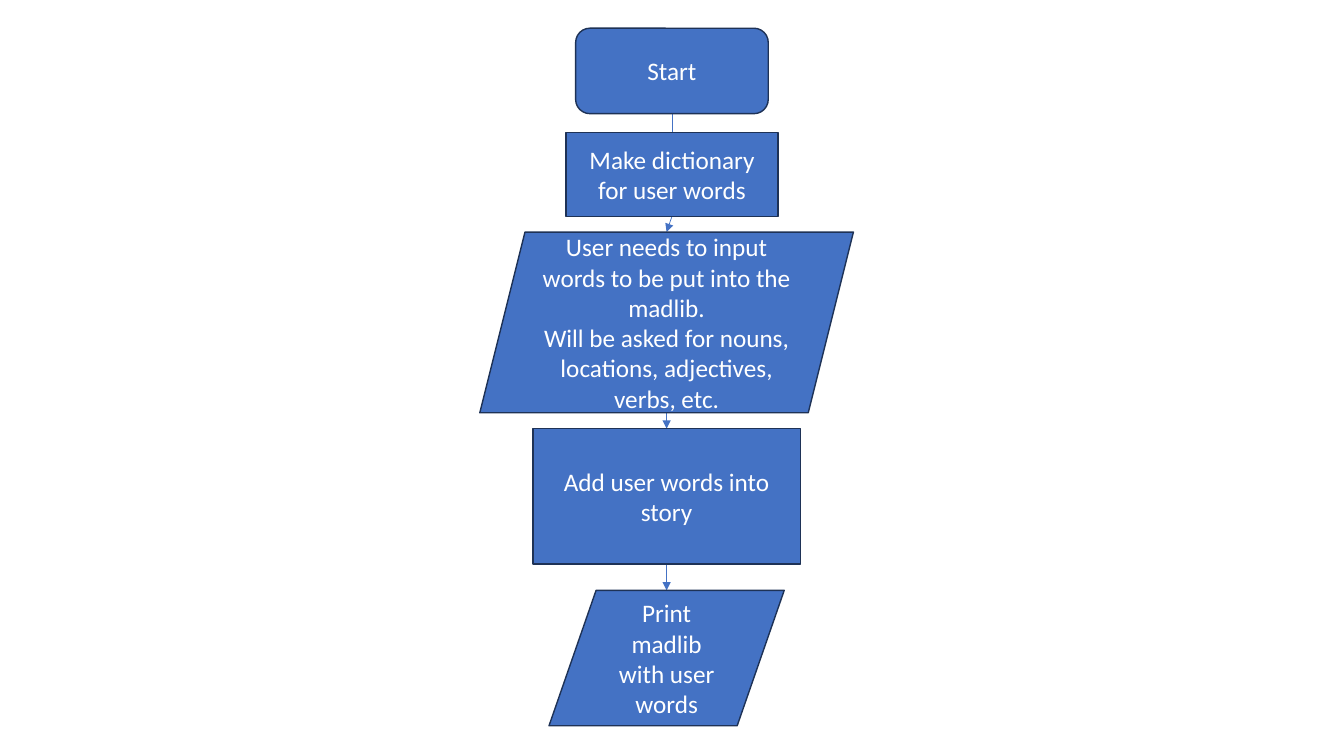
from collections import namedtuple
from itertools import pairwise

from lxml import etree
from pptx import Presentation
from pptx.dml.color import RGBColor
from pptx.enum.shapes import MSO_CONNECTOR, MSO_SHAPE
from pptx.enum.text import MSO_ANCHOR, PP_ALIGN
from pptx.oxml.ns import qn
from pptx.util import Inches, Pt

STRAIGHT = MSO_CONNECTOR.STRAIGHT
TERMINAL = MSO_SHAPE.ROUNDED_RECTANGLE
PROCESS = MSO_SHAPE.RECTANGLE
USER_INPUT = MSO_SHAPE.PARALLELOGRAM
OUTPUT = MSO_SHAPE.FLOWCHART_DATA
MIDDLE = MSO_ANCHOR.MIDDLE
CENTER = PP_ALIGN.CENTER

WIDTH, HEIGHT = Inches(13.33), Inches(7.5)
COLORS = {"fill": "4472C4", "outline": "1E3256", "text": "FFFFFF", "arrow": "4472C4"}
FONT = {"name": "Calibri", "size": Pt(18)}
FRAME = {"word_wrap": True, "vertical_anchor": MIDDLE}

Step = namedtuple("Step", "kind center top width height lines entry")
STEPS = [
    Step(TERMINAL, 50, 3.73, 14.33, 11.3, ["Start"], 0),
    Step(PROCESS, 50, 17.5, 15.75, 11.1, ["Make dictionary for user words"], 4.2),
    Step(USER_INPUT, 49.6, 30.7, 27.8, 23.9,
         ["User needs to input words to be put into the madlib.",
          "Will be asked for nouns, locations, adjectives, verbs, etc."], 0),
    Step(PROCESS, 49.6, 56.7, 19.9, 17.9, ["Add user words into story"], 0),
    Step(OUTPUT, 49.6, 78.1, 17.5, 17.9, ["Print madlib with user words"], 0),
]


def across(percent):
    """Turn a share of the slide's width into a length."""
    return round(WIDTH * percent / 100)


def down(percent):
    """Turn a share of the slide's height into a length."""
    return round(HEIGHT * percent / 100)


def color(role):
    """Look up the colour of a role."""
    return RGBColor.from_string(COLORS[role])


def apply(target, values):
    """Set each attribute of the target from a dict."""
    for attribute, value in values.items():
        setattr(target, attribute, value)


def add_step(slide, step):
    """Draw one step of the flowchart with its wording."""
    box = slide.shapes.add_shape(
        step.kind, across(step.center - step.width / 2), down(step.top),
        across(step.width), down(step.height))
    box.shadow.inherit = False
    box.fill.solid()
    box.fill.fore_color.rgb = color("fill")
    box.line.color.rgb = color("outline")
    box.line.width = Pt(1)
    apply(box.text_frame, FRAME)
    box.text_frame.text = "\n".join(step.lines)
    for paragraph in box.text_frame.paragraphs:
        paragraph.alignment = CENTER
        apply(paragraph.font, FONT)
        paragraph.font.color.rgb = color("text")


def add_arrow(slide, source, target):
    """Point from the bottom of one step to the entry of the next."""
    arrow = slide.shapes.add_connector(
        STRAIGHT, across(source.center), down(source.top + source.height),
        across(target.center), down(target.top + target.entry))
    arrow.line.color.rgb = color("arrow")
    arrow.line.width = Pt(0.5)
    etree.SubElement(arrow.line._get_or_add_ln(), qn("a:tailEnd"), type="triangle")
    etree.SubElement(arrow._element.spPr, qn("a:effectLst"))


def main():
    """Build the flowchart slide and save it."""
    presentation = Presentation()
    apply(presentation, {"slide_width": WIDTH, "slide_height": HEIGHT})
    slide = presentation.slides.add_slide(presentation.slide_layouts[6])
    for source, target in pairwise(STEPS):
        add_arrow(slide, source, target)
    for step in STEPS:
        add_step(slide, step)
    presentation.save("out.pptx")


main()
